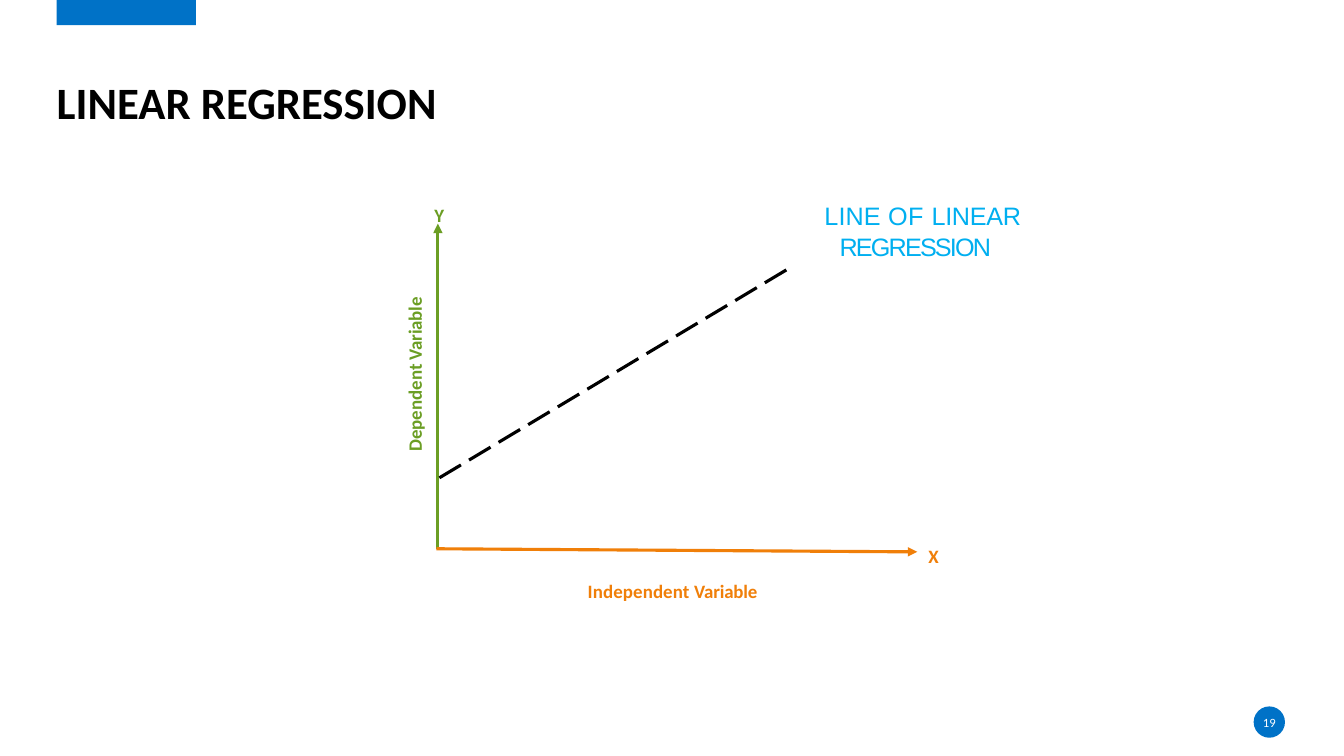
from lxml import etree
from pptx import Presentation
from pptx import util as u
from pptx.dml.color import RGBColor
from pptx.enum import dml, shapes, text
from pptx.oxml.ns import qn

# Content: positions and sizes in points
TITLE = "LINEAR REGRESSION"
PAGE_NUMBER = "19"
THEME = {
    "blue": "0072C7", "sky": "00AFF0", "green": "6B9E24", "orange": "F07F09",
    "black": "000000", "white": "FFFFFF",
    "body_font": "Calibri", "accent_font": "Arial",
    "title_size": 32, "accent_size": 18, "label_size": 13.5, "page_size": 9,
    "line_width": 2.25,
}
# start, end, colour, has arrowhead, is dashed
PLOT_LINES = [
    ((312.8, 392.4), (312.8, 159.8), "green", True, False),
    ((311.8, 392), (655.2, 394.2), "orange", True, False),
    ((313.9, 341.3), (567.4, 189.4), "black", False, True),
]
# runs with letter spacing, box, colour, is vertical
AXIS_LABELS = [
    ([("Independent ", 0.1), ("Variable", -0.1)], (419.8, 412.6, 123.8, 18), "orange", False),
    ([("Dependent ", 0), ("Variable", -0.1)], (290.2, 209.5, 15.8, 113), "green", True),
    ([("X", 0)], (663.1, 387.4, 9.4, 18), "orange", False),
    ([("Y", 0)], (310.3, 144, 9.4, 18), "green", False),
]
LINE_LABEL = [("LINE ", 0.1), ("OF ", 0.3), ("LINEAR ", -0.2), ("REGRESSION", -1.3)]
LINE_LABEL_BOX = (588.2, 142.6, 192.2, 43.9)


def color(name):
    return RGBColor.from_string(THEME[name])


def place(box):
    return [u.Pt(length) for length in box]


def set_insets(frame, top=0):
    frame.margin_left = frame.margin_right = frame.margin_bottom = 0
    frame.margin_top = u.Pt(top)


def style(paragraph, font, size, color_name, bold=False):
    paragraph.font.name = THEME[font]
    paragraph.font.size = u.Pt(THEME[size])
    paragraph.font.bold = bold
    paragraph.font.color.rgb = color(color_name)


def add_block(kind, box):
    block = slide.shapes.add_shape(kind, *place(box))
    block.shadow.inherit = False
    block.fill.solid()
    block.fill.fore_color.rgb = color("blue")
    block.line.fill.background()
    return block


def add_label(runs, box, top=0, wrap=False):
    frame = slide.shapes.add_textbox(*place(box)).text_frame
    frame.word_wrap = wrap
    set_insets(frame, top)
    paragraph = frame.paragraphs[0]
    for words, spacing in runs:
        run = paragraph.add_run()
        run.text = words
        if spacing:
            run._r.get_or_add_rPr().set("spc", str(round(spacing * 100)))
    return frame, paragraph


def add_plot_line(start, end, color_name, arrow, dashed):
    connector = slide.shapes.add_connector(
        shapes.MSO_CONNECTOR.STRAIGHT, *place(start + end))
    connector.line.width = u.Pt(THEME["line_width"])
    connector.line.color.rgb = color(color_name)
    if dashed:
        connector.line.dash_style = dml.MSO_LINE.LONG_DASH
    if arrow:
        etree.SubElement(connector.line._get_or_add_ln(), qn("a:tailEnd"), type="triangle")
    etree.SubElement(connector._element.spPr, qn("a:effectLst"))


deck = Presentation()
deck.slide_width, deck.slide_height = u.Pt(960), u.Pt(540)
slide = deck.slides.add_slide(deck.slide_layouts[5])

# Top bar and page number
add_block(shapes.MSO_SHAPE.RECTANGLE, (40.5, 0, 99.5, 18))
badge = add_block(shapes.MSO_SHAPE.OVAL, (895.5, 504.6, 22.4, 22.4)).text_frame
set_insets(badge)
badge.word_wrap = False
badge.vertical_anchor = text.MSO_ANCHOR.MIDDLE
badge.text = PAGE_NUMBER
badge.paragraphs[0].alignment = text.PP_ALIGN.CENTER
style(badge.paragraphs[0], "body_font", "page_size", "white")

# Title
title = slide.shapes.title
title.left, title.top, title.width, title.height = place((40.5, 19.4, 877.7, 72.7))
heading = title.text_frame
heading.text = TITLE
heading.vertical_anchor = text.MSO_ANCHOR.BOTTOM
set_insets(heading)
heading.paragraphs[0].alignment = text.PP_ALIGN.LEFT
heading.paragraphs[0].line_spacing = 0.9
style(heading.paragraphs[0], "body_font", "title_size", "black", bold=True)

# Axes and regression line
for plot_line in PLOT_LINES:
    add_plot_line(*plot_line)

# Axis labels
for runs, box, color_name, vertical in AXIS_LABELS:
    frame, paragraph = add_label(runs, box, top=0 if vertical else 1.7)
    if vertical:
        frame._txBody.bodyPr.set("vert", "vert270")
        paragraph.line_spacing = u.Pt(13.8)
    style(paragraph, "body_font", "label_size", color_name, bold=True)

# Regression line label, second line indented
frame, paragraph = add_label(LINE_LABEL, LINE_LABEL_BOX, top=1.4, wrap=True)
frame.vertical_anchor = text.MSO_ANCHOR.BOTTOM
paragraph.line_spacing = 1.02
indent = paragraph._p.get_or_add_pPr()
indent.set("marL", str(u.Pt(11.5)))
indent.set("indent", str(u.Pt(-10.8)))
style(paragraph, "accent_font", "accent_size", "sky")

deck.save("out.pptx")
